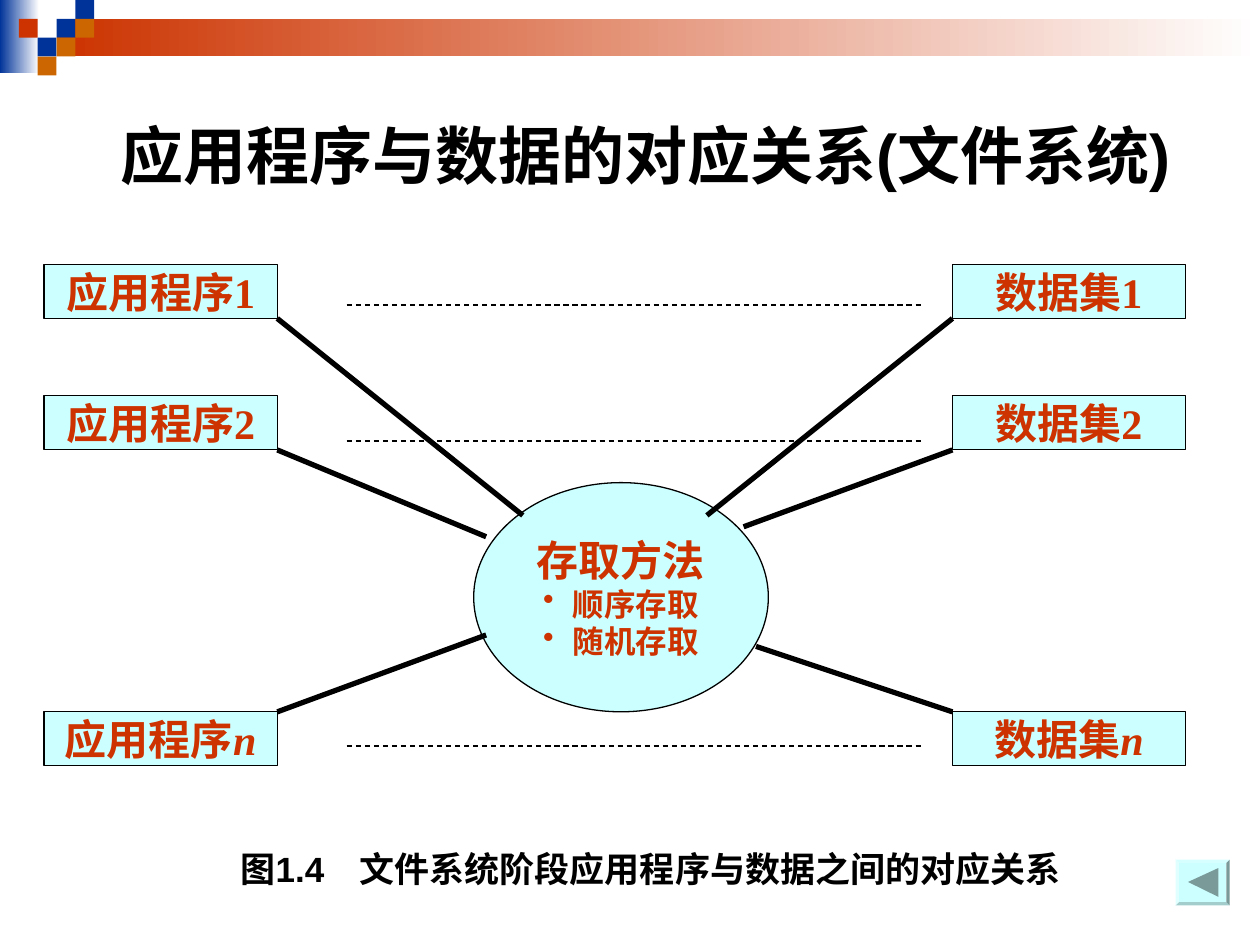
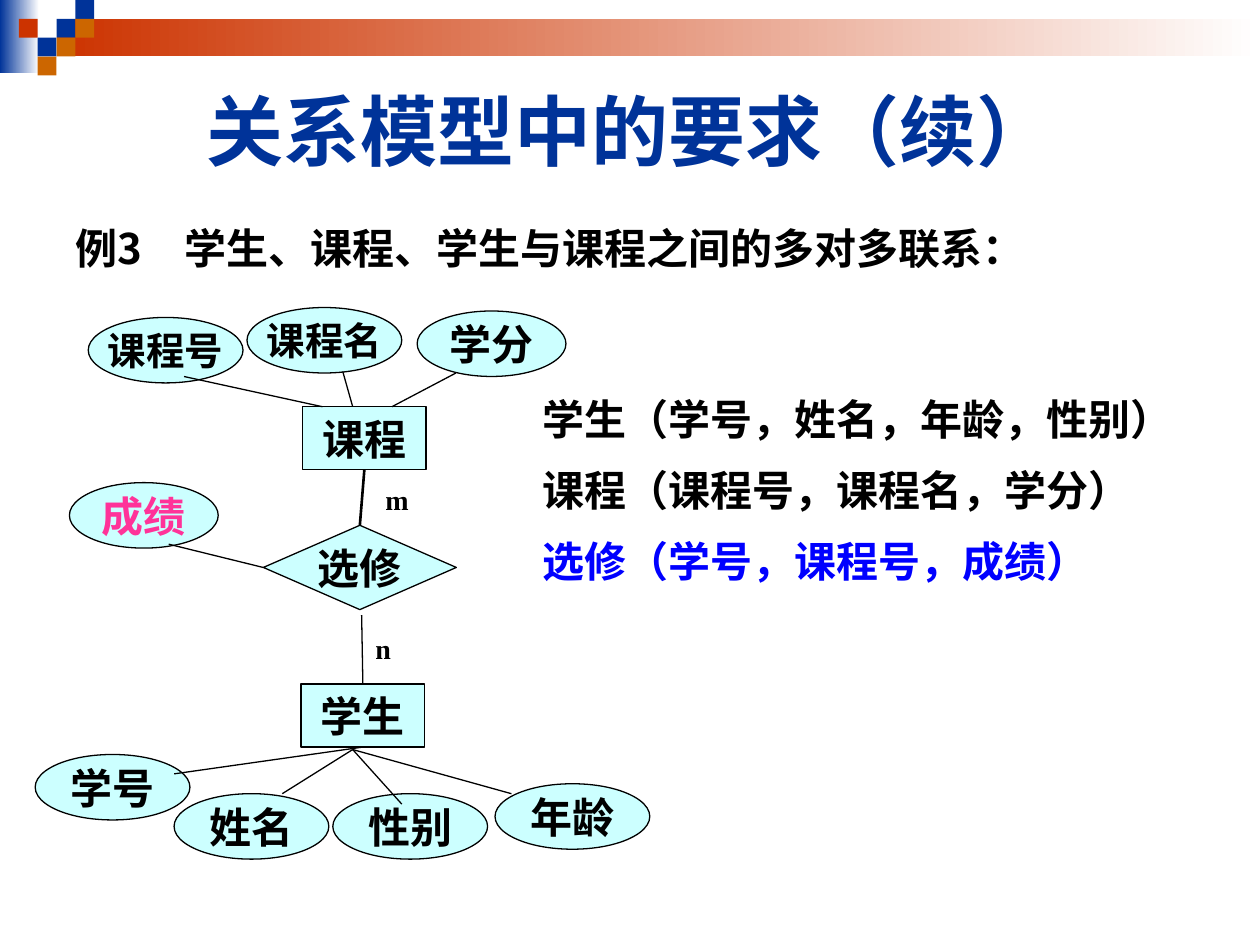
"""Build two database slides: file-system access and a many-to-many E-R model."""
from lxml.etree import SubElement
from pptx import Presentation
from pptx.dml.color import RGBColor
from pptx.enum.dml import MSO_LINE
from pptx.enum.shapes import MSO_CONNECTOR, MSO_SHAPE
from pptx.enum.text import MSO_ANCHOR, MSO_AUTO_SIZE, PP_ALIGN
from pptx.oxml.ns import qn
from pptx.util import Cm, Pt

C = {"navy": "003399", "red": "CC3300", "orange": "CC6600", "cyan": "CCFFFF",
     "black": "000000", "white": "FFFFFF", "blue": "0000FF", "pink": "FF3399",
     "gray": "7A9999"}
CJK = "Noto Sans CJK SC"
SERIF = "Times New Roman"


def write(tf, text, size=24, color="black", font="Arial", align=PP_ALIGN.CENTER,
          italic_tail="", bullet=None, line=None, before=0, wrap=True):
    tf.word_wrap = wrap
    tf.auto_size = MSO_AUTO_SIZE.NONE
    tf.vertical_anchor = MSO_ANCHOR.MIDDLE
    p = tf.add_paragraph() if tf.text else tf.paragraphs[0]
    p.alignment = align
    p.space_before = Pt(before)
    if line:
        p.line_spacing = Pt(line)
    pPr = p._p.get_or_add_pPr()
    indent = Cm(0.6) if bullet else 0
    pPr.set("marL", str(indent))
    pPr.set("indent", str(-indent))
    if bullet:
        SubElement(pPr, qn("a:buChar")).set("char", bullet)
    else:
        SubElement(pPr, qn("a:buNone"))
    for part, italic in ((text, False), (italic_tail, True)):
        if part:
            r = p.add_run()
            r.text = part
            r.font.size = Pt(size)
            r.font.bold = True
            r.font.italic = italic
            r.font.color.rgb = RGBColor.from_string(C[color])
            r.font.name = font
            SubElement(r.font._element, qn("a:ea")).set("typeface", CJK)


def add_box(s, kind, x, y, w, h, fill="cyan", outline=True, fade=False):
    sp = s.shapes.add_shape(kind, Cm(x), Cm(y), Cm(w), Cm(h))
    sp.shadow.inherit = False
    if fade:
        sp.fill.gradient()
        sp.fill.gradient_angle = 0
        for stop, name in zip(sp.fill.gradient_stops, (fill, "white")):
            stop.color.rgb = RGBColor.from_string(C[name])
    else:
        sp.fill.solid()
        sp.fill.fore_color.rgb = RGBColor.from_string(C[fill])
    if outline:
        sp.line.color.rgb = RGBColor.from_string(C["black"])
        sp.line.width = Pt(0.75)
    else:
        sp.line.fill.background()
    return sp


prs = Presentation()
prs.slide_width, prs.slide_height = Cm(25.4), Cm(19.05)
s1 = prs.slides.add_slide(prs.slide_layouts[5])
s2 = prs.slides.add_slide(prs.slide_layouts[1])

# Master band
U = 0.38
band = [add_box(s1, MSO_SHAPE.RECTANGLE, 0, 0, 0.79, 1.47, "navy", False, True),
        add_box(s1, MSO_SHAPE.RECTANGLE, 3 * U, U, 25.4 - 3 * U, 2 * U, "red", False, True)]
for col, row, color in [(3, 1, "navy"), (4, 0, "navy"), (4, 1, "orange"), (2, 2, "navy"),
                        (1, 1, "red"), (3, 2, "orange"), (2, 3, "orange")]:
    band.append(add_box(s1, MSO_SHAPE.RECTANGLE, col * U, row * U, U, U, color, False))
for i, sp in enumerate(band):
    prs.slide_master.shapes.element.insert(2 + i, sp.element)

# Titles
for s, text, at, size, color in [
        (s1, "应用程序与数据的对应关系(文件系统)", (1.5, 1.52, 23.01, 3.18), 36, "black"),
        (s2, "关系模型中的要求（续）", (1.27, 1.27, 22.86, 2.67), 44, "navy")]:
    t = s.shapes.title
    t.left, t.top, t.width, t.height = map(Cm, at)
    write(t.text_frame, text, size, color)

# Slide 1: programs, access method, data sets
lines = []
BOX_W, BOX_H, LEFT, RIGHT = 4.7, 1.09, 0.89, 19.2
for num, tail, y, dash_y, corner_y, left_end, right_end in [
        ("1", "", 5.33, 6.15, 6.42, (10.54, 10.39), (14.25, 10.39)),
        ("2", "", 7.98, 8.89, 9.07, (9.8, 10.82), (14.99, 10.62)),
        ("", "n", 14.35, 15.04, 14.35, (9.8, 12.8), (15.24, 13.03))]:
    for name, x in (("应用程序", LEFT), ("数据集", RIGHT)):
        sp = add_box(s1, MSO_SHAPE.RECTANGLE, x, y, BOX_W, BOX_H)
        write(sp.text_frame, name + num, 24, "red", SERIF, italic_tail=tail, wrap=False)
    lines += [(s1, (6.99, dash_y), (18.62, dash_y), 0.75, True),
              (s1, (LEFT + BOX_W, corner_y), left_end, 3, False),
              (s1, (RIGHT, corner_y), right_end, 3, False)]

tf = add_box(s1, MSO_SHAPE.OVAL, 9.55, 9.73, 5.94, 4.62).text_frame
write(tf, "存取方法", 24, "red", line=28.7, wrap=False)
for text in ("顺序存取", "随机存取"):
    write(tf, text, 18, "red", bullet="•", line=21.4, wrap=False)

tb = s1.shapes.add_textbox(Cm(2.54), Cm(16.94), Cm(21.16), Cm(1.12))
write(tb.text_frame, "图1.4　文件系统阶段应用程序与数据之间的对应关系", 20)

button = add_box(s1, MSO_SHAPE.BEVEL, 23.7, 17.33, 1.09, 0.92, outline=False)
button.adjustments[0] = 0.07
fb = s1.shapes.build_freeform(Cm(23.95), Cm(17.78))
fb.add_line_segments([(Cm(24.56), Cm(17.5)), (Cm(24.56), Cm(18.08))])
arrow = fb.convert_to_shape()
arrow.shadow.inherit = False
arrow.fill.solid()
arrow.fill.fore_color.rgb = RGBColor.from_string(C["gray"])
arrow.line.fill.background()

# Slide 2: example, relations and E-R diagram
body = s2.placeholders[1]
body.left, body.top, body.width, body.height = Cm(1.27), Cm(4.29), Cm(22.86), Cm(1.42)
write(body.text_frame, "例3　学生、课程、学生与课程之间的多对多联系：",
      font=CJK, align=PP_ALIGN.LEFT)

tb = s2.shapes.add_textbox(Cm(10.69), Cm(7.72), Cm(13.61), Cm(4.39))
for text, color, before in [("学生（学号，姓名，年龄，性别）", "black", 0),
                            ("课程（课程号，课程名，学分）", "black", 9),
                            ("选修（学号，课程号，成绩）", "blue", 9)]:
    write(tb.text_frame, text, 24, color, CJK, PP_ALIGN.LEFT, line=31.5, before=before)
tb.text_frame.vertical_anchor = MSO_ANCHOR.TOP

nodes = {}
for text, kind, x, y, w, h in [
        ("学生", MSO_SHAPE.RECTANGLE, 6.07, 13.79, 2.49, 1.27),
        ("课程", MSO_SHAPE.RECTANGLE, 6.1, 8.2, 2.49, 1.27),
        ("选修", MSO_SHAPE.FLOWCHART_DECISION, 5.31, 10.59, 3.89, 1.7)]:
    nodes[text] = add_box(s2, kind, x, y, w, h)
    write(nodes[text].text_frame, text, font=SERIF, wrap=False)

for text, x, y, w, size, color in [
        ("学号", 0.71, 15.21, 3.12, 24, "black"), ("年龄", 9.98, 15.8, 3.12, 24, "black"),
        ("性别", 6.71, 16, 3.12, 24, "black"), ("姓名", 3.51, 16, 3.12, 24, "black"),
        ("课程号", 1.78, 6.4, 3.12, 22, "black"), ("学分", 8.41, 6.27, 3, 24, "black"),
        ("课程名", 4.98, 6.2, 3.12, 22, "black"), ("成绩", 1.4, 9.73, 3, 24, "pink")]:
    sp = add_box(s2, MSO_SHAPE.OVAL, x, y, w, 1.32)
    write(sp.text_frame, text, size, color, SERIF, wrap=False)

for text, x, y, w in [("m", 7.52, 9.6, 0.97), ("n", 7.32, 12.6, 0.81)]:
    tb = s2.shapes.add_textbox(Cm(x), Cm(y), Cm(w), Cm(0.94))
    write(tb.text_frame, text, 16, font=SERIF, wrap=False)

# Connectors: an end is a point or a (node, side) pair
for start, end, width in [
        (("学生", 2), (3.51, 15.6), 0.75), ((7.11, 15.11), (5.69, 16), 0.75),
        ((7.11, 15.11), (8.1, 16.21), 0.75), ((7.11, 15.11), (10.31, 16), 0.75),
        ((7.11, 8.2), (6.91, 7.49), 0.75), ((9.19, 7.52), (7.9, 8.2), 0.75),
        ((3.71, 7.59), (6.5, 8.2), 0.75), (("课程", 2), ("选修", 0), 1.5),
        ((7.29, 12.4), ("学生", 0), 0.75), (("选修", 1), (3.4, 10.97), 0.75)]:
    lines.append((s2, start, end, width, False))

for s, start, end, width, dashed in lines:
    points = [(0, 0) if e[0] in nodes else e for e in (start, end)]
    cn = s.shapes.add_connector(MSO_CONNECTOR.STRAIGHT, *[Cm(v) for pt in points for v in pt])
    if start[0] in nodes:
        cn.begin_connect(nodes[start[0]], start[1])
    if end[0] in nodes:
        cn.end_connect(nodes[end[0]], end[1])
    cn.line.color.rgb = RGBColor.from_string(C["black"])
    cn.line.width = Pt(width)
    if dashed:
        cn.line.dash_style = MSO_LINE.DASH
    SubElement(cn._element.spPr, qn("a:effectLst"))

prs.save("out.pptx")
